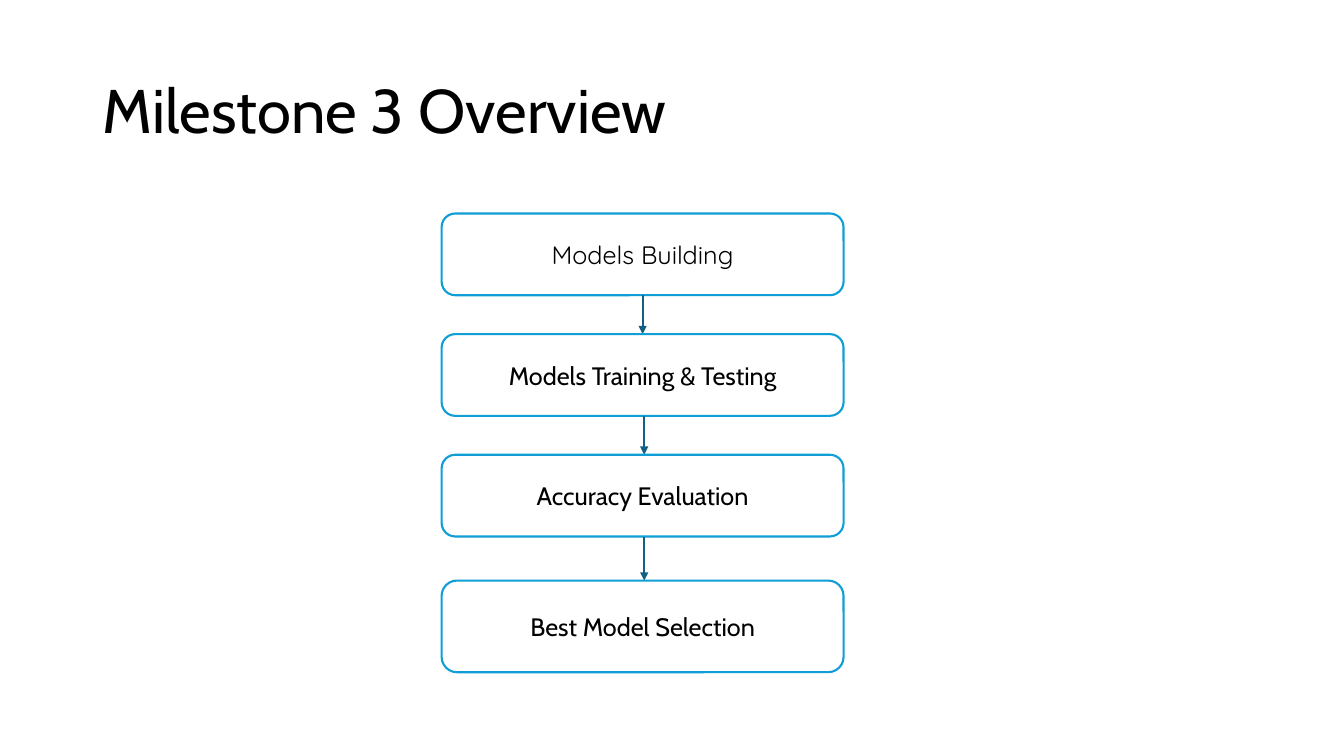
import pptx
import pptx.dml.color
import pptx.enum.dml
import pptx.enum.shapes
import pptx.enum.text
import pptx.oxml
import pptx.oxml.ns
import pptx.util

Cm = pptx.util.Cm
Pt = pptx.util.Pt
RGBColor = pptx.dml.color.RGBColor
ALIGN = pptx.enum.text.PP_ALIGN
MIDDLE = pptx.enum.text.MSO_ANCHOR.MIDDLE

BLACK = RGBColor(0x00, 0x00, 0x00)
WHITE = RGBColor(0xFF, 0xFF, 0xFF)
BORDER_BLUE = RGBColor(0x0F, 0x9E, 0xD5)
ARROW_BLUE = RGBColor(0x15, 0x60, 0x82)

TITLE_FONT = {"name": "Cabin", "size": Pt(44), "bold": False}
STEP_FONT = {"size": Pt(18), "bold": False}

# Each step: label, font, height, gap above, sideways shift of the arrow above (cm)
STEPS = [
    ("Models Building", "Quicksand", 2.06, 0, 0),
    ("Models Training & Testing", "Cabin", 2.06, 0.98, 0),
    ("Accuracy Evaluation", "Cabin", 2.06, 0.98, 0.04),
    ("Best Model Selection", "Cabin", 2.31, 1.11, 0.04),
]


def write_text(shape, text, font_values, alignment):
    """Put one formatted paragraph into a shape."""
    frame = shape.text_frame
    frame.word_wrap = True
    frame.auto_size = pptx.enum.text.MSO_AUTO_SIZE.NONE
    frame.vertical_anchor = MIDDLE
    para = frame.paragraphs[0]
    para.alignment = alignment
    span = para.add_run()
    span.text = text
    for name, value in font_values.items():
        setattr(span.font, name, value)
    span.font.color.rgb = BLACK
    return para


def add_title(page, text, left, top, width, height):
    title = page.shapes.title
    values = {"left": left, "top": top, "width": width, "height": height}
    for name, value in values.items():
        setattr(title, name, Cm(value))
    para = write_text(title, text, TITLE_FONT, ALIGN.LEFT)
    para.line_spacing = 0.9


def add_step(page, text, font_name, left, top, width, height):
    box = page.shapes.add_shape(
        pptx.enum.shapes.MSO_SHAPE.ROUNDED_RECTANGLE,
        Cm(left), Cm(top), Cm(width), Cm(height))
    box.shadow.inherit = False
    box.fill.solid()
    box.fill.fore_color.rgb = WHITE
    box.line.color.rgb = BORDER_BLUE
    box.line.width = Pt(1.5)
    write_text(box, text, {**STEP_FONT, "name": font_name}, ALIGN.CENTER)


def add_down_arrow(page, x, top, bottom):
    arrow = page.shapes.add_connector(
        pptx.enum.shapes.MSO_CONNECTOR.STRAIGHT,
        Cm(x), Cm(top), Cm(x), Cm(bottom))
    arrow.line.color.rgb = ARROW_BLUE
    arrow.line.width = Pt(1.5)
    # Arrowhead at the lower end, and no shadow
    properties = arrow.line._get_or_add_ln()
    head = pptx.oxml.parse_xml(
        f'<a:tailEnd {pptx.oxml.ns.nsdecls("a")} type="triangle"/>')
    properties.append(head)
    no_effects = pptx.oxml.parse_xml(
        f'<a:effectLst {pptx.oxml.ns.nsdecls("a")}/>')
    properties.addnext(no_effects)


def add_flow(page, steps, left, top, width):
    """Stack the steps downwards, with an arrow in each gap."""
    centre = left + width / 2
    for text, font_name, height, gap, shift in steps:
        if gap:
            add_down_arrow(page, centre + shift, top, top + gap)
        top += gap
        add_step(page, text, font_name, left, top, width, height)
        top += height


def main():
    deck = pptx.Presentation()
    deck.slide_width = Cm(33.87)
    deck.slide_height = Cm(19.05)
    page = deck.slides.add_slide(deck.slide_layouts.get_by_name("Title Only"))

    add_title(page, "Milestone 3 Overview", 2.34, 1.02, 29.21, 3.68)
    add_flow(page, STEPS, 11.13, 5.38, 10.13)

    deck.save("out.pptx")


if __name__ == "__main__":
    main()
